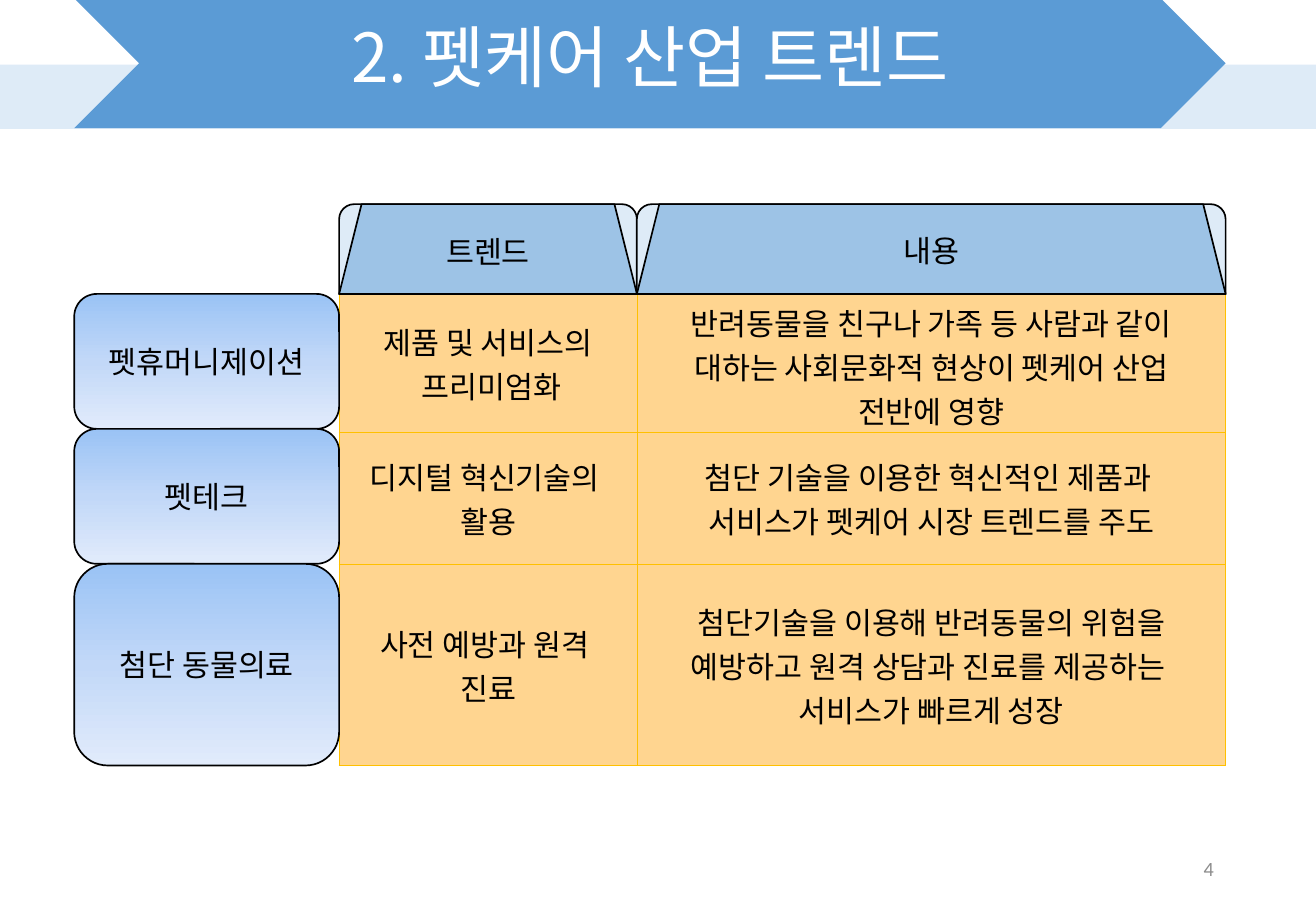
from copy import deepcopy

from lxml import etree
from pptx import Presentation
from pptx.dml.color import RGBColor
from pptx.enum.shapes import MSO_SHAPE
from pptx.enum.text import MSO_ANCHOR, PP_ALIGN
from pptx.oxml.ns import qn
from pptx.util import Pt

RECT = MSO_SHAPE.RECTANGLE
CHEVRON = MSO_SHAPE.CHEVRON
ROUND_TOP = MSO_SHAPE.ROUND_2_SAME_RECTANGLE
TRAPEZOID = MSO_SHAPE.TRAPEZOID
ROUND_RECT = MSO_SHAPE.ROUNDED_RECTANGLE
MIDDLE = MSO_ANCHOR.MIDDLE
CENTER, RIGHT = PP_ALIGN.CENTER, PP_ALIGN.RIGHT

KOREAN, LATIN = "Noto Sans CJK KR", "Calibri"
BLACK, WHITE, GRAY = "000000", "FFFFFF", "8C8C8C"
PALE, BLUE, HEADER = "DEEBF7", "5B9BD5", "9DC3E6"
CELL, GOLD = "FFD590", "FFC000"
LABEL_STOPS = [(0, "9AC3F5"), (0.5, "C2D8F8"), (1, "E1EBFB")]

SLIDE_W, SLIDE_H = 780, 540
LEFT, BANNER_W = 44, 682.5
TABLE_X, TABLE_Y = 201, 174.25
HEADER_H = 53.25
COL_WIDTHS = [176.5, 349]
ROW_HEIGHTS = [82, 78.5, 119]

HEADERS = ["트렌드", "내용"]
LABELS = [("펫휴머니제이션", 80), ("펫테크", 80), ("첨단 동물의료", 119.5)]
ROWS = [
    ("제품 및 서비스의\n 프리미엄화",
     "반려동물을 친구나 가족 등 사람과 같이 대하는 사회문화적 현상이 펫케어 산업 전반에 영향"),
    ("디지털 혁신기술의 \n활용",
     "첨단 기술을 이용한 혁신적인 제품과 \n서비스가 펫케어 시장 트렌드를 주도"),
    ("사전 예방과 원격 \n진료",
     "첨단기술을 이용해 반려동물의 위험을 예방하고 원격 상담과 진료를 제공하는 \n서비스가 빠르게 성장"),
]


def rgb(value):
    return RGBColor.from_string(value)


def set_text(tf, text, size=18, color=BLACK, font=KOREAN, align=CENTER):
    tf.text = text
    tf.word_wrap = True
    tf.vertical_anchor = MIDDLE
    for p in tf.paragraphs:
        p.alignment = align
        for r in p.runs:
            r.font.size = Pt(size)
            r.font.name = font
            r.font.color.rgb = rgb(color)
            ea = etree.SubElement(r.font._element, qn("a:ea"))
            ea.set("typeface", KOREAN)


def add_box(slide, kind, x, y, w, h, fill=None, line=None):
    s = slide.shapes.add_shape(kind, Pt(x), Pt(y), Pt(w), Pt(h))
    s.shadow.inherit = False
    if fill:
        s.fill.solid()
        s.fill.fore_color.rgb = rgb(fill)
    if line:
        s.line.color.rgb = rgb(line)
        s.line.width = Pt(1)
    else:
        s.line.fill.background()
    return s


def add_text(slide, x, y, w, h, text, **style):
    tf = slide.shapes.add_textbox(Pt(x), Pt(y), Pt(w), Pt(h)).text_frame
    set_text(tf, text, **style)
    return tf


def add_header(slide, x, w, text):
    y = TABLE_Y - HEADER_H
    add_box(slide, ROUND_TOP, x, y, w, HEADER_H, PALE, BLACK)
    s = add_box(slide, TRAPEZOID, x, y, w, HEADER_H, HEADER, BLACK)
    set_text(s.text_frame, text)


def add_label(slide, y, h, text):
    s = add_box(slide, ROUND_RECT, LEFT, y, TABLE_X - LEFT, h, line=BLACK)
    s.fill.gradient()
    s.fill.gradient_angle = 270
    # A new gradient has two stops; a third goes between them
    stop_list = s._element.spPr.find(".//" + qn("a:gsLst"))
    stop_list.insert(1, deepcopy(stop_list[0]))
    for stop, (position, color) in zip(s.fill.gradient_stops, LABEL_STOPS):
        stop.position = position
        stop.color.rgb = rgb(color)
    set_text(s.text_frame, text, font=LATIN)


def set_borders(cell, color, width):
    tc_pr = cell._tc.get_or_add_tcPr()
    for i, side in enumerate(("a:lnL", "a:lnR", "a:lnT", "a:lnB")):
        ln = etree.Element(qn(side), w=str(Pt(width)))
        fill = etree.SubElement(ln, qn("a:solidFill"))
        etree.SubElement(fill, qn("a:srgbClr"), val=color)
        tc_pr.insert(i, ln)


def add_trend_table(slide):
    frame = slide.shapes.add_table(
        len(ROWS), len(COL_WIDTHS), Pt(TABLE_X), Pt(TABLE_Y),
        Pt(sum(COL_WIDTHS)), Pt(sum(ROW_HEIGHTS)))
    table = frame.table
    table.first_row = table.horz_banding = False
    for column, width in zip(table.columns, COL_WIDTHS):
        column.width = Pt(width)
    for row, height, texts in zip(table.rows, ROW_HEIGHTS, ROWS):
        row.height = Pt(height)
        for cell, text in zip(row.cells, texts):
            set_text(cell.text_frame, text)
            cell.vertical_anchor = MIDDLE
            cell.fill.solid()
            cell.fill.fore_color.rgb = rgb(CELL)
            set_borders(cell, GOLD, 0.5)


def main():
    prs = Presentation()
    prs.slide_width, prs.slide_height = Pt(SLIDE_W), Pt(SLIDE_H)
    slide = prs.slides.add_slide(prs.slide_layouts[6])

    # Title banner
    add_box(slide, RECT, 0, 38.25, SLIDE_W, 38.25, PALE)
    add_box(slide, CHEVRON, LEFT, -1, BANNER_W, 77, BLUE)
    tf = add_text(slide, LEFT, -2, BANNER_W, 75.5, "2. 펫케어 산업 트렌드",
                  size=40, color=WHITE)
    tf.paragraphs[0].line_spacing = 0.9

    # Slide number
    add_text(slide, 551, 500.5, 175.5, 28.75, "4",
             size=12, color=GRAY, font=LATIN, align=RIGHT)

    # Trend table with its column headers
    add_trend_table(slide)
    x = TABLE_X
    for text, width in zip(HEADERS, COL_WIDTHS):
        add_header(slide, x, width, text)
        x += width

    # Row labels
    y = TABLE_Y
    for text, height in LABELS:
        add_label(slide, y, height, text)
        y += height

    prs.save("out.pptx")


if __name__ == "__main__":
    main()
